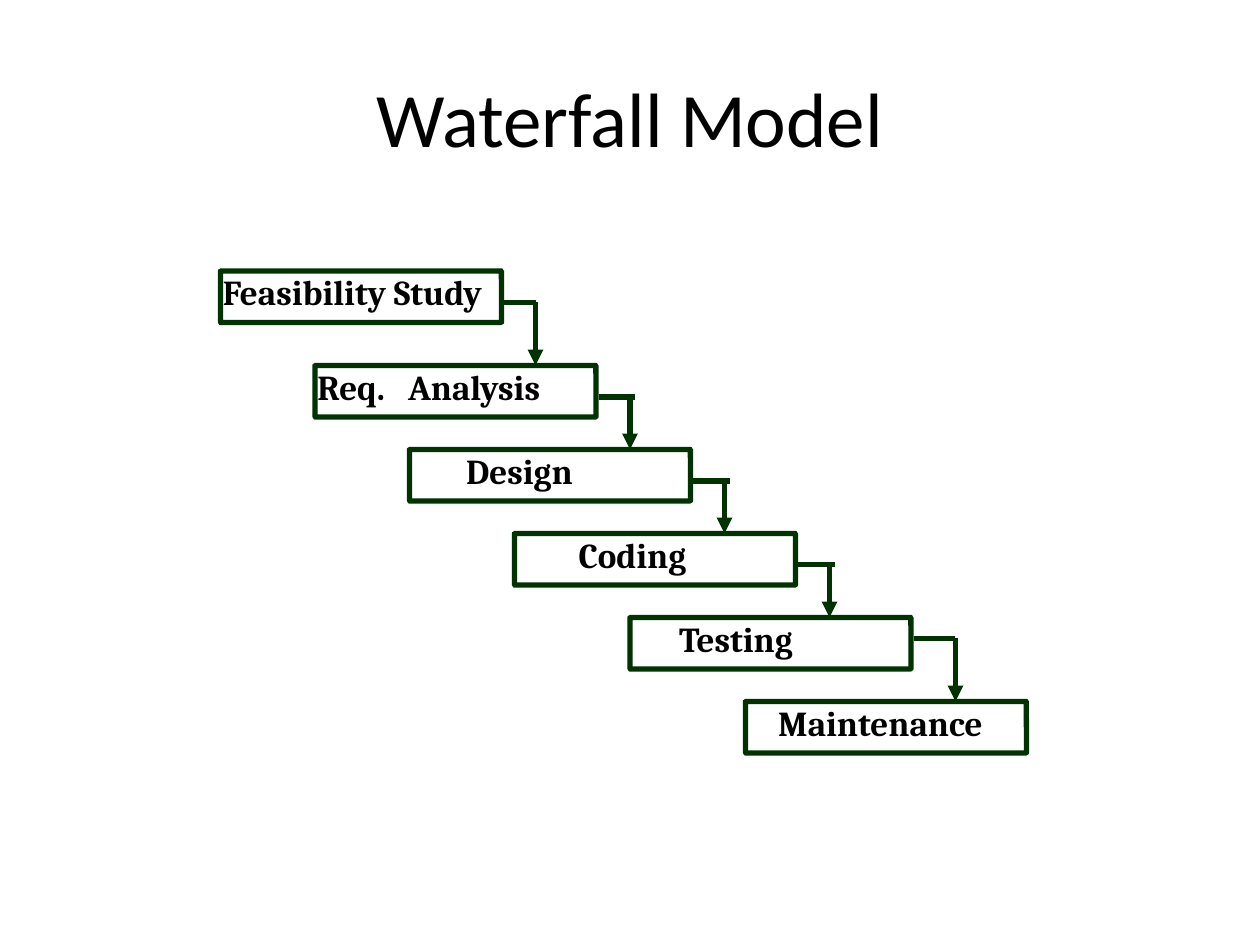
from collections import namedtuple

from lxml.etree import SubElement
from pptx import Presentation
from pptx.dml.color import RGBColor
from pptx.enum.shapes import MSO_CONNECTOR as LINK, MSO_SHAPE as SHAPE
from pptx.enum.text import MSO_ANCHOR as ANCHOR, PP_ALIGN as ALIGN
from pptx.oxml.ns import qn
from pptx.util import Inches, Pt

BLACK = RGBColor(0x00, 0x00, 0x00)
GREEN = RGBColor(0x00, 0x33, 0x00)

CELL = 1 / 12
TOP = 2.15
BOX_WIDTH, BOX_HEIGHT = 2.23, 0.41
LABEL_WIDTH, LABEL_HEIGHT = 2.33, 0.43
INSET = 0.02

Stage = namedtuple("Stage", "label col row indent")
Step = namedtuple("Step", "start end drop depth")

STAGES = [
    Stage("Feasibility Study", 21, 0, 0),
    Stage("Req.\tAnalysis", 30, 9, 0),
    Stage("Design", 39, 17, 0.43),
    Stage("Coding", 49, 25, 0.49),
    Stage("Testing", 60, 33, 0.37),
    Stage("Maintenance", 71, 41, 0.24),
]
MIDDLE_STEP = Step(27, 30.5, 30, 3)
STEPS = [Step(26.5, 30, 30, 3)] + [MIDDLE_STEP] * 3 + [Step(27, 31, 31, 2)]


def assign(target, values):
    for name, value in values.items():
        setattr(target, name, value)


def style_line(line):
    line.color.rgb = GREEN
    line.width = Pt(3)


def add_text(slide, text, area, frame_format, paragraph_format, font_format):
    frame = slide.shapes.add_textbox(*map(Inches, area)).text_frame
    assign(frame, {"word_wrap": True, **frame_format})
    paragraph = frame.paragraphs[0]
    assign(paragraph, paragraph_format)
    run = paragraph.add_run()
    run.text = text
    assign(run.font, font_format)
    run.font.color.rgb = BLACK
    return paragraph


def add_tab_stop(paragraph, position):
    stops = SubElement(paragraph._p.get_or_add_pPr(), qn("a:tabLst"))
    SubElement(stops, qn("a:tab"), pos=str(Inches(position)), algn="l")


def add_stage(slide, stage):
    left, top = stage.col * CELL, TOP + stage.row * CELL
    label = add_text(
        slide, stage.label, (left, top, LABEL_WIDTH, LABEL_HEIGHT),
        {"margin_left": Inches(INSET + stage.indent), "margin_right": Inches(INSET)},
        {"line_spacing": 0.85, "space_before": Pt(11.5)},
        {"name": "Cambria", "size": Pt(20), "bold": True},
    )
    if "\t" in stage.label:
        add_tab_stop(label, 0.72)
    box = slide.shapes.add_shape(
        SHAPE.ROUNDED_RECTANGLE, *map(Inches, (left, top, BOX_WIDTH, BOX_HEIGHT)))
    box.adjustments[0] = 0.004
    box.shadow.inherit = False
    box.fill.background()
    style_line(box.line)


def add_line(slide, start, end, arrow=False):
    connector = slide.shapes.add_connector(LINK.STRAIGHT, *map(Inches, start + end))
    style_line(connector.line)
    if arrow:
        SubElement(connector.line._get_or_add_ln(), qn("a:tailEnd"), type="triangle")
    SubElement(connector._element.spPr, qn("a:effectLst"))


def add_step(slide, stage, following, step):
    start, end, drop = ((stage.col + cols) * CELL
                        for cols in (step.start, step.end, step.drop))
    level = TOP + (stage.row + step.depth) * CELL
    add_line(slide, (start, level), (end, level))
    add_line(slide, (drop, level), (drop, TOP + following.row * CELL), arrow=True)


def main():
    deck = Presentation()
    assign(deck, {"slide_width": Inches(10), "slide_height": Inches(7.5)})
    slide = deck.slides.add_slide(deck.slide_layouts[6])
    for stage in STAGES:
        add_stage(slide, stage)
    for stage, following, step in zip(STAGES, STAGES[1:], STEPS):
        add_step(slide, stage, following, step)
    add_text(
        slide, "Waterfall Model", (0.5, 0.3, 9, 1.25),
        {"vertical_anchor": ANCHOR.MIDDLE}, {"alignment": ALIGN.CENTER},
        {"name": "Calibri", "size": Pt(44)},
    )
    deck.save("out.pptx")


if __name__ == "__main__":
    main()
